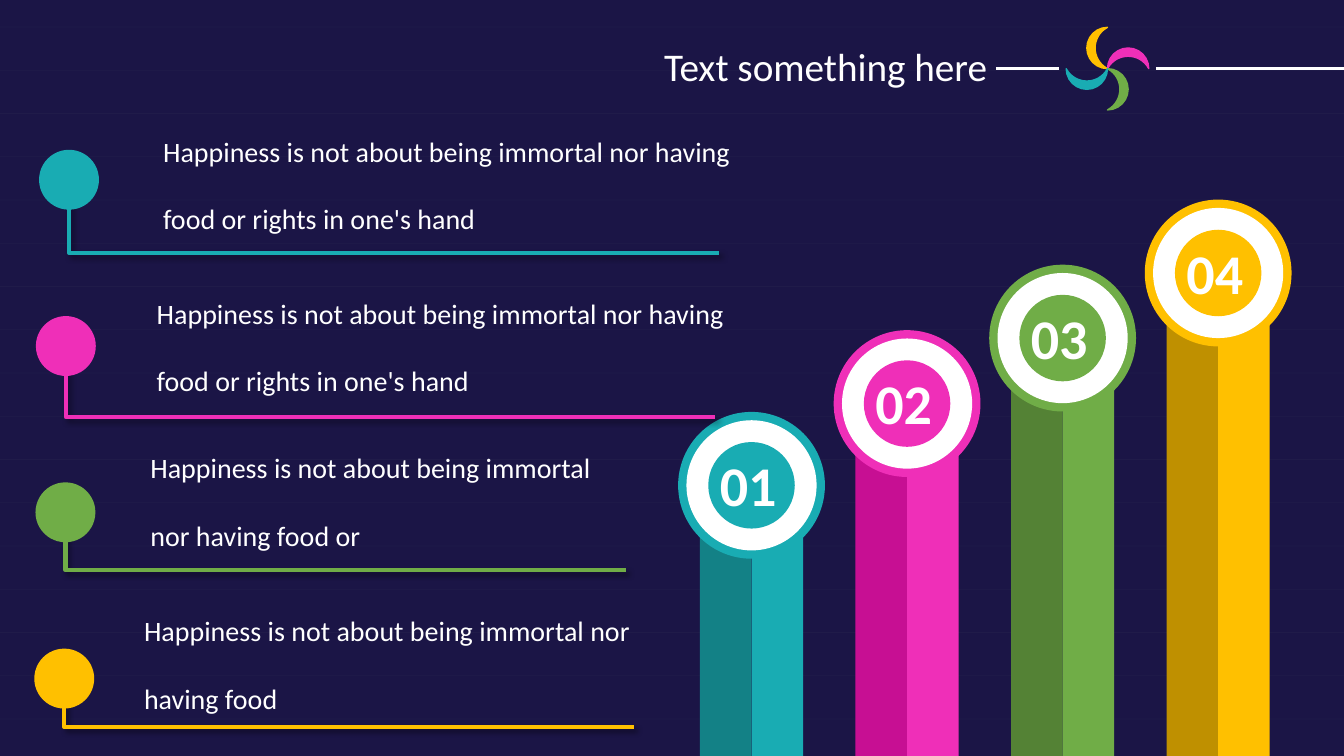
from math import cos, radians, sin

from lxml.etree import SubElement
from pptx import Presentation
from pptx.dml.color import RGBColor
from pptx.enum.shapes import MSO_CONNECTOR, MSO_SHAPE
from pptx.enum.text import MSO_ANCHOR, MSO_AUTO_SIZE, PP_ALIGN
from pptx.oxml.ns import qn
from pptx.util import Cm, Pt

WIDTH, HEIGHT = 33.87, 19.05
NAVY, WHITE, GREY = "1B1546", "FFFFFF", "808080"
TEAL, PINK, GREEN, GOLD = "19ACB3", "EF2FB8", "70AD47", "FFC000"

LONG_QUOTE = ("Happiness is not about being immortal nor having "
              "food or rights in one's hand")

# colour, shaded half, number, ring centre height
COLUMNS = [
    (TEAL, "138186", "01", 12.23),
    (PINK, "C70F93", "02", 10.17),
    (GREEN, "548235", "03", 8.52),
    (GOLD, "BF9000", "04", 6.88),
]

# colour, quote, quote top, quote width, stem x, stem top, rule y, rule end
QUOTES = [
    (TEAL, LONG_QUOTE, 2.41, 15.39, 1.74, 4.85, 6.37, 18.11),
    (PINK, LONG_QUOTE, 6.5, 16.2, 1.66, 9, 10.51, 18.03),
    (GREEN, "Happiness is not about being immortal nor having food or",
     10.39, 12.5, 1.65, 12.87, 14.37, 15.78),
    (GOLD, "Happiness is not about being immortal nor having food",
     14.5, 12.8, 1.62, 16.95, 18.32, 15.98),
]


def colour(hex_value):
    return RGBColor.from_string(hex_value)


def add_shadow(effects):
    """Put a soft shadow, down and to the right, in an effect list."""
    shadow = SubElement(effects, qn("a:outerShdw"), blurRad=str(Pt(4)),
                        dist=str(Pt(3)), dir="2700000", algn="tl", rotWithShape="0")
    black = SubElement(shadow, qn("a:srgbClr"), val="000000")
    SubElement(black, qn("a:alpha"), val="40000")


class Canvas:
    font_name = "Calibri"

    def __init__(self, slide):
        self.slide = slide
        self.shapes = slide.shapes

    def background(self, fill):
        background_fill = self.slide.background.fill
        background_fill.solid()
        background_fill.fore_color.rgb = colour(fill)

    def style(self, paragraph, size, bold=False):
        paragraph.font.name = self.font_name
        paragraph.font.size = Pt(size)
        paragraph.font.bold = bold
        paragraph.font.color.rgb = colour(WHITE)

    def title(self, wording, left, top, width, height):
        title = self.shapes.title
        title.left, title.top = Cm(left), Cm(top)
        title.width, title.height = Cm(width), Cm(height)
        frame = title.text_frame
        frame.text = wording
        frame.word_wrap = False
        frame.auto_size = MSO_AUTO_SIZE.NONE
        frame.vertical_anchor = MSO_ANCHOR.MIDDLE
        frame.paragraphs[0].alignment = PP_ALIGN.LEFT
        self.style(frame.paragraphs[0], 28)

    def text(self, wording, left, top, width, height, size, bold=False, spacing=1.0):
        box = self.shapes.add_textbox(Cm(left), Cm(top), Cm(width), Cm(height))
        box.text_frame.word_wrap = True
        paragraph = box.text_frame.paragraphs[0]
        paragraph.line_spacing = spacing
        run = paragraph.add_run()
        run.text = wording
        self.style(paragraph, size, bold)
        add_shadow(SubElement(run._r.get_or_add_rPr(), qn("a:effectLst")))

    def shape(self, kind, left, top, width, height, fill):
        shape = self.shapes.add_shape(kind, Cm(left), Cm(top), Cm(width), Cm(height))
        shape.shadow.inherit = False
        shape.fill.solid()
        shape.fill.fore_color.rgb = colour(fill)
        shape.line.fill.background()
        return shape

    def disc(self, x, y, diameter, fill):
        """Draw a circle around the centre x, y."""
        self.shape(MSO_SHAPE.OVAL, x - diameter / 2, y - diameter / 2,
                   diameter, diameter, fill)

    def petal(self, hub_x, hub_y, angle, fill):
        """Draw a crescent turned by angle around the hub."""
        width, height = 0.52, 1.04
        turn = radians(angle)
        x = hub_x - width / 2 * cos(turn) + height / 2 * sin(turn)
        y = hub_y - width / 2 * sin(turn) - height / 2 * cos(turn)
        petal = self.shape(MSO_SHAPE.MOON, x - width / 2, y - height / 2,
                           width, height, fill)
        petal.adjustments[0] = 0.4
        petal.rotation = angle
        petal.line.color.rgb = colour(fill)
        petal.line.width = Pt(1)

    def rule(self, start, end, y, stroke, weight, opacity=100):
        rule = self.shapes.add_connector(MSO_CONNECTOR.STRAIGHT,
                                         Cm(start), Cm(y), Cm(end), Cm(y))
        rule.line.color.rgb = colour(stroke)
        rule.line.width = Pt(weight)
        properties = rule._element.spPr
        SubElement(properties, qn("a:effectLst"))
        if opacity < 100:
            tone = properties.find(".//" + qn("a:srgbClr"))
            SubElement(tone, qn("a:alpha"), val=str(opacity * 1000))

    def elbow(self, x, top, bottom, end, stroke):
        builder = self.shapes.build_freeform(Cm(x), Cm(top))
        builder.add_line_segments([(Cm(x), Cm(bottom)), (Cm(end), Cm(bottom))],
                                  close=False)
        elbow = builder.convert_to_shape()
        elbow.fill.background()
        elbow.line.color.rgb = colour(stroke)
        elbow.line.width = Pt(3)
        elbow.shadow.inherit = False
        add_shadow(elbow._element.spPr.find(qn("a:effectLst")))


def draw_header(canvas):
    for row in range(17):
        canvas.rule(0, WIDTH, 0.68 + 1.09 * row, GREY, 0.5, opacity=5)
    hub_x, hub_y = 27.91, 1.73
    canvas.rule(29.13, WIDTH, hub_y, WHITE, 2.25)
    canvas.rule(25.1, 26.69, hub_y, WHITE, 2.25)
    for quarter, fill in enumerate([GOLD, PINK, GREEN, TEAL]):
        canvas.petal(hub_x, hub_y, 90 * quarter, fill)
    canvas.title("Text something here", 16.48, 0.94, 8.74, 1.45)


def draw_columns(canvas):
    half = 1.3
    for position, (fill, shade, number, y) in enumerate(COLUMNS):
        x = 18.94 + 3.92 * position
        top = y + 1.2
        for left, side in [(x - half, shade), (x, fill)]:
            canvas.shape(MSO_SHAPE.RECTANGLE, left, top, half, HEIGHT - top, side)
        for diameter, ring in [(3.7, fill), (3.28, WHITE), (2.18, fill)]:
            canvas.disc(x, y, diameter, ring)
        canvas.text(number, x - 1.05, y - 1, 2.39, 1.96, 40, bold=True)


def draw_quotes(canvas):
    for row, (fill, quote, top, width, x, stem, bottom, end) in enumerate(QUOTES):
        canvas.text(quote, 3.86 - 0.16 * row, top, width, 3.68, 20, spacing=2.0)
        canvas.elbow(x, stem, bottom, end, fill)
        canvas.disc(x, 4.53 + 4.19 * row, 1.51, fill)


def main():
    deck = Presentation()
    deck.slide_width, deck.slide_height = Cm(WIDTH), Cm(HEIGHT)
    canvas = Canvas(deck.slides.add_slide(deck.slide_layouts[5]))
    canvas.background(NAVY)
    draw_header(canvas)
    draw_columns(canvas)
    draw_quotes(canvas)
    deck.save("out.pptx")


if __name__ == "__main__":
    main()
